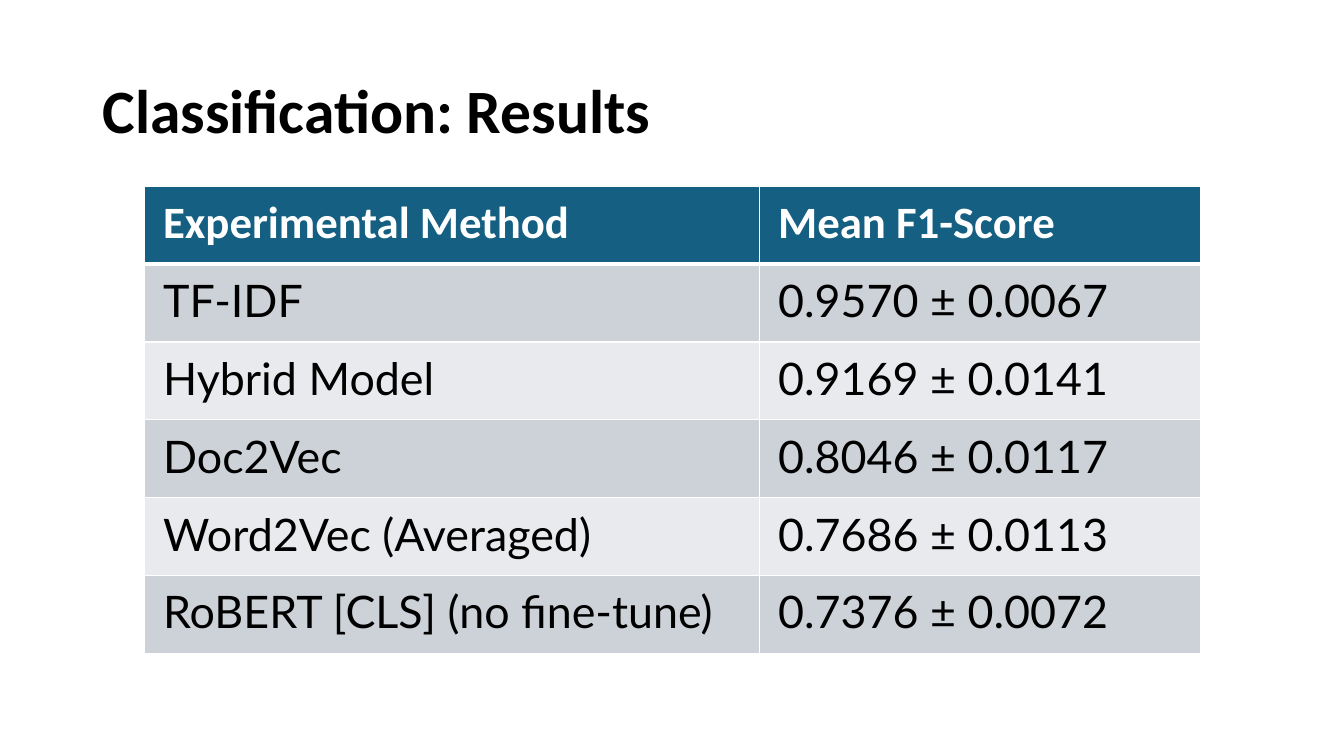
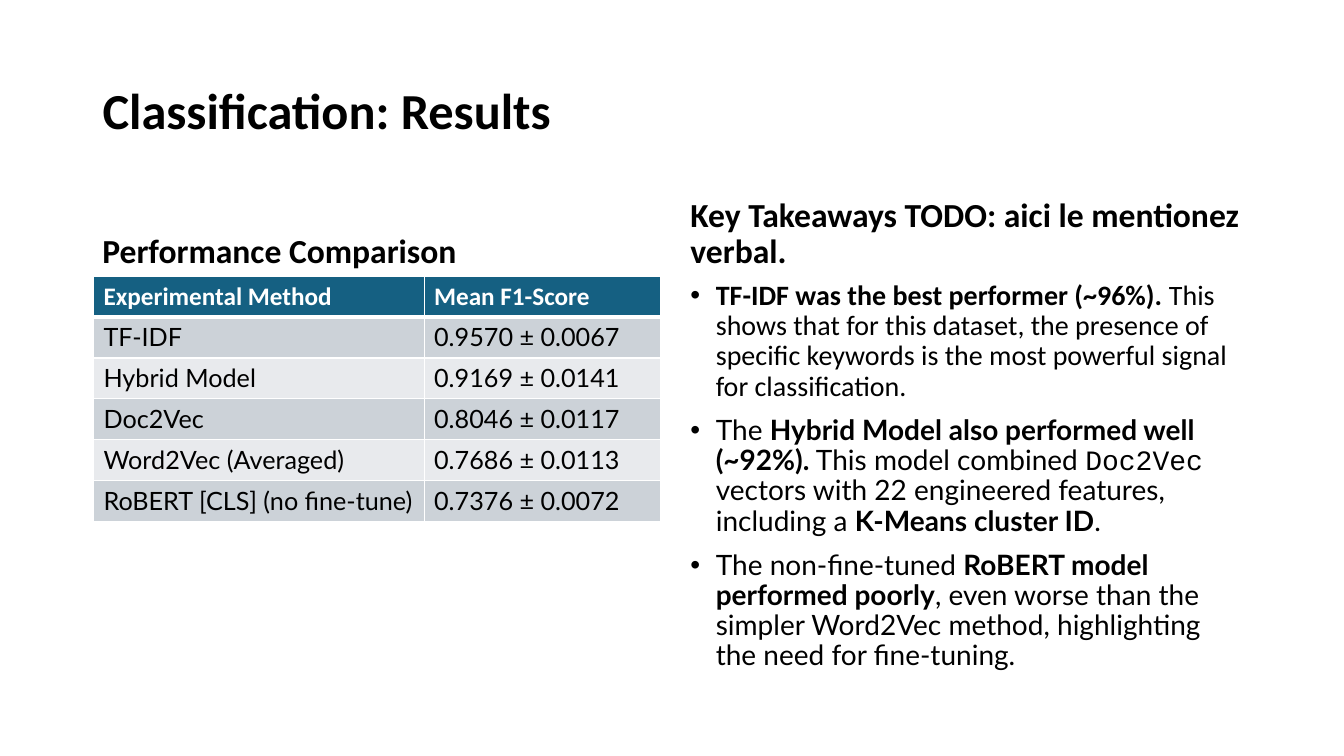
from lxml import etree
from pptx import Presentation
from pptx.dml.color import RGBColor
from pptx.enum import text
from pptx.oxml import ns
from pptx.util import Cm, Pt

WHITE, BLACK, TEAL = "FFFFFF", "000000", "156082"
BANDS = ["CCD2D8", "E8EAED"]
HEAD, BODY, CODE = "Calibri", "Lato", "Courier New"
TITLE = "Classification: Results"

SCORES = [
    ("Experimental Method", "Mean F1-Score"),
    ("TF-IDF", "0.9570 ± 0.0067"),
    ("Hybrid Model", "0.9169 ± 0.0141"),
    ("Doc2Vec", "0.8046 ± 0.0117"),
    ("Word2Vec (Averaged)", "0.7686 ± 0.0113"),
    ("RoBERT [CLS] (no fine-tune)", "0.7376 ± 0.0072"),
]

POINTS = [
    [("TF-IDF was the best performer (~96%).", HEAD, True),
     (" This shows that for this dataset, the presence of specific keywords "
      "is the most powerful signal for classification.", HEAD, False)],
    [("The ", BODY, False),
     ("Hybrid Model also performed well (~92%).", BODY, True),
     (" This model combined ", BODY, False),
     ("Doc2Vec", CODE, False),
     (" vectors with 22 engineered features, including a ", BODY, False),
     ("K-Means cluster ID", BODY, True),
     (".", BODY, False)],
    [("The non-fine-tuned ", BODY, False),
     ("RoBERT model performed poorly", BODY, True),
     (", even worse than the simpler Word2Vec method, highlighting "
      "the need for fine-tuning.", BODY, False)],
]


def paint(code):
    return RGBColor.from_string(code)


class Deck:
    def __init__(self):
        self.file = Presentation()
        self.file.slide_width, self.file.slide_height = Cm(33.87), Cm(19.05)
        self.slide = None

    def run(self, para, words, size, font=HEAD, bold=True, color=BLACK):
        run = para.add_run()
        run.text = words
        run.font.size, run.font.name, run.font.bold = Pt(size), font, bold
        run.font.color.rgb = paint(color)

    def frame(self, shape, anchor):
        frame = shape.text_frame
        frame.word_wrap = True
        frame.auto_size = text.MSO_AUTO_SIZE.NONE
        frame.vertical_anchor = anchor
        return frame

    def para(self, para, runs, size, before=0):
        para.alignment = text.PP_ALIGN.LEFT
        para.line_spacing, para.space_before = 0.9, Pt(before)
        for words, font, bold in runs:
            self.run(para, words, size, font, bold)

    def page(self, title, size):
        self.slide = self.file.slides.add_slide(self.file.slide_layouts[5])
        shape = self.slide.shapes.title
        shape.left, shape.top = Cm(2.33), Cm(1.02)
        shape.width, shape.height = Cm(29.21), Cm(3.68)
        frame = self.frame(shape, text.MSO_ANCHOR.MIDDLE)
        self.para(frame.paragraphs[0], [(title, HEAD, True)], size)

    def box(self, left, top, width, height, anchor):
        shape = self.slide.shapes.add_textbox(
            Cm(left), Cm(top), Cm(width), Cm(height))
        return self.frame(shape, anchor)

    def label(self, words, left, width):
        frame = self.box(left, 4.67, width, 2.29, text.MSO_ANCHOR.BOTTOM)
        self.para(frame.paragraphs[0], [(words, HEAD, True)], 24, 10)

    def list(self, points, left, top, width, height):
        frame = self.box(left, top, width, height, text.MSO_ANCHOR.TOP)
        for i, runs in enumerate(points):
            para = frame.add_paragraph() if i else frame.paragraphs[0]
            self.para(para, runs, 20, 10)
            props = para._p.get_or_add_pPr()
            props.set("marL", str(Cm(0.64)))
            props.set("indent", str(Cm(-0.64)))
            font = etree.SubElement(props, ns.qn("a:buFont"))
            font.set("typeface", "Arial")
            etree.SubElement(props, ns.qn("a:buChar")).set("char", "•")

    def edge(self, cell, row):
        props = cell._tc.get_or_add_tcPr()
        for i, side in enumerate("LRTB"):
            thick = (side, row) in (("B", 0), ("T", 1))
            line = etree.Element(ns.qn("a:ln" + side))
            line.set("w", str(Pt(3 if thick else 1)))
            fill = etree.SubElement(line, ns.qn("a:solidFill"))
            etree.SubElement(fill, ns.qn("a:srgbClr")).set("val", WHITE)
            props.insert(i, line)

    def table(self, rows, left, top, widths, height, size, pad):
        grid = self.slide.shapes.add_table(
            len(rows), len(widths), Cm(left), Cm(top),
            Cm(sum(widths)), Cm(height * len(rows))).table
        for col, width in zip(grid.columns, widths):
            col.width = Cm(width)
        for r, row in enumerate(rows):
            grid.rows[r].height = Cm(height)
            for c, words in enumerate(row):
                cell = grid.cell(r, c)
                cell.margin_left = cell.margin_right = Cm(pad)
                cell.margin_top = cell.margin_bottom = Cm(pad / 2)
                cell.fill.solid()
                cell.fill.fore_color.rgb = paint(BANDS[(r - 1) % 2] if r else TEAL)
                self.edge(cell, r)
                self.run(cell.text_frame.paragraphs[0], words, size,
                         BODY if r else HEAD, r == 0, BLACK if r else WHITE)


def main():
    deck = Deck()
    deck.page(TITLE, 44)
    deck.table(SCORES, 3.65, 4.7, [15.5, 11.1], 1.96, 32, 0.46)

    deck.page(TITLE, 36)
    deck.label("Performance Comparison", 2.33, 14.33)
    deck.table(SCORES, 2.36, 6.96, [8.33, 5.97], 1.03, 18, 0.25)
    deck.label("Key Takeaways TODO: aici le mentionez verbal.", 17.15, 14.4)
    deck.list(POINTS, 17.15, 6.96, 14.4, 10.24)
    deck.file.save("out.pptx")


if __name__ == "__main__":
    main()
